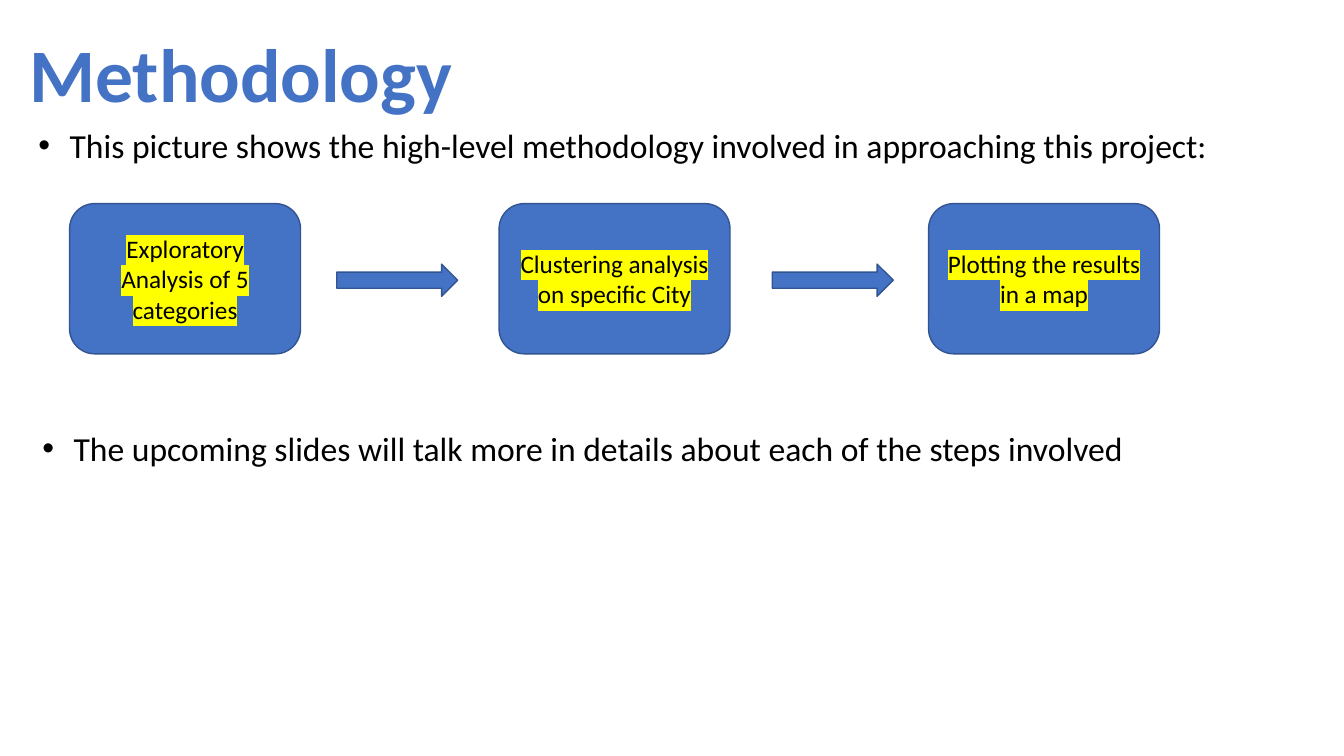
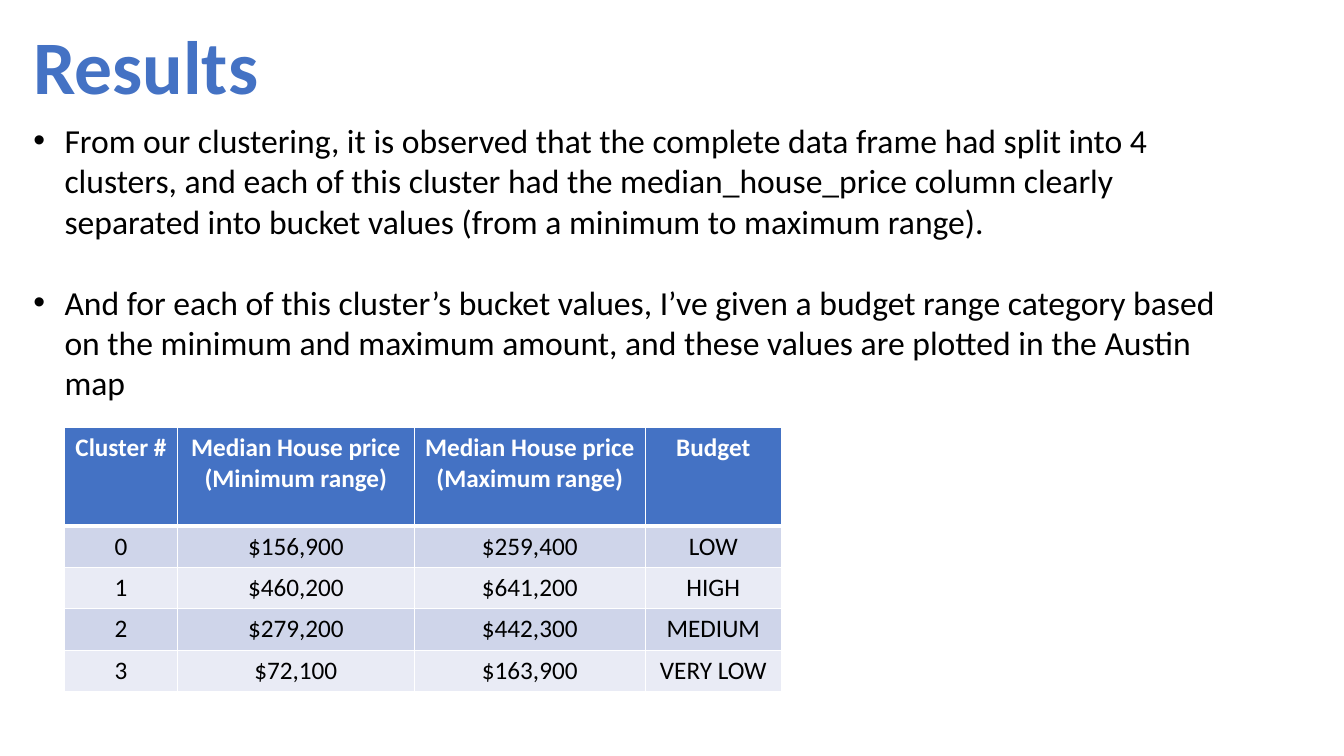
"""Build the Methodology and Results slides."""
from dataclasses import dataclass

from lxml import etree
from pptx import Presentation
from pptx import util as u
from pptx.dml.color import RGBColor
from pptx.enum import shapes, text
from pptx.oxml.ns import qn


@dataclass(frozen=True)
class Theme:
    font: str = "Calibri"
    accent: str = "4472C4"
    outline: str = "325491"
    ink: str = "000000"
    paper: str = "FFFFFF"
    marker: str = "FFFF00"
    bands: tuple = ("CFD5EA", "E9EBF5")
    title_size: int = 54
    body_size: int = 24
    label_size: int = 18
    paragraph_gap: int = 29
    bullet_indent: float = 0.31


THEME = Theme()
LAYOUT_BY_BODIES = {1: 1, 2: 3}

METHODOLOGY = {
    "title": ("Methodology", (0.19, 0.21, 4.44, 1.01)),
    "bodies": [
        (["This picture shows the high-level methodology involved in approaching this project:"],
         (0.28, 1.19, 12.33, 0.5)),
        (["The upcoming slides will talk more in details about each of the steps involved"],
         (0.32, 4.19, 12.33, 0.5)),
    ],
}
STEPS = ["Exploratory Analysis of 5 categories",
         "Clustering analysis on specific City",
         "Plotting the results in a map"]
STEP_BOX, STEP_PITCH = (0.69, 2.02, 2.29, 1.49), 4.26
ARROW_BOX, ARROW_PITCH = (3.34, 2.62, 1.2, 0.32), 4.32

RESULTS = {
    "title": ("Results", (0.23, 0.13, 2.46, 1.01)),
    "bodies": [
        (["From our clustering, it is observed that the complete data frame had split into 4 "
          "clusters, and each of this cluster had the median_house_price column clearly "
          "separated into bucket values (from a minimum to maximum range).",
          "And for each of this cluster’s bucket values, I’ve given a budget range category "
          "based on the minimum and maximum amount, and these values are plotted in the "
          "Austin map"],
         (0.23, 1.14, 12.33, 2.95)),
    ],
}
CLUSTERS = [
    (["Cluster #"], ["Median House price", "(Minimum range)"],
     ["Median House price", "(Maximum range)"], ["Budget"]),
    (["0"], ["$156,900"], ["$259,400"], ["LOW"]),
    (["1"], ["$460,200"], ["$641,200"], ["HIGH"]),
    (["2"], ["$279,200"], ["$442,300"], ["MEDIUM"]),
    (["3"], ["$72,100"], ["$163,900"], ["VERY LOW"]),
]
TABLE_AT = (0.64, 4.24)
COLUMN_WIDTHS = [1.12, 2.35, 2.29, 1.35]
HEADER_HEIGHT, ROW_HEIGHT = 0.98, 0.41


def inches(values):
    return [u.Inches(value) for value in values]


def rgb(value):
    return RGBColor.from_string(value)


def add_run(paragraph, words, size, color, bold=False):
    run = paragraph.add_run()
    run.text = words
    run.font.size = u.Pt(size)
    run.font.bold = bold
    run.font.name = THEME.font
    run.font.color.rgb = rgb(color)
    return run


def fill_frame(frame, lines, size, color, bold=False, align=text.PP_ALIGN.CENTER):
    for index, line in enumerate(lines):
        paragraph = frame.add_paragraph() if index else frame.paragraphs[0]
        paragraph.alignment = align
        add_run(paragraph, line, size, color, bold)


def place(part, box):
    part.left, part.top, part.width, part.height = inches(box)


def add_slide(deck, content):
    bodies = content["bodies"]
    slide = deck.slides.add_slide(deck.slide_layouts[LAYOUT_BY_BODIES[len(bodies)]])
    heading, *holders = slide.placeholders
    words, box = content["title"]
    place(heading, box)
    heading.text_frame.word_wrap = False
    heading.text_frame.auto_size = text.MSO_AUTO_SIZE.NONE
    fill_frame(heading.text_frame, [words], THEME.title_size, THEME.accent, True,
               text.PP_ALIGN.LEFT)
    for holder, (bullets, box) in zip(holders, bodies):
        place(holder, box)
        frame = holder.text_frame
        frame.auto_size = text.MSO_AUTO_SIZE.NONE
        fill_frame(frame, bullets, THEME.body_size, THEME.ink, align=text.PP_ALIGN.LEFT)
        indent = u.Inches(THEME.bullet_indent)
        for index, paragraph in enumerate(frame.paragraphs):
            paragraph.space_before = u.Pt(THEME.paragraph_gap if index else 0)
            properties = paragraph._p.get_or_add_pPr()
            properties.set("marL", str(indent))
            properties.set("indent", str(-indent))
    return slide


def add_block(slide, preset, box, offset):
    left, top, width, height = box
    block = slide.shapes.add_shape(preset, *inches((left + offset, top, width, height)))
    block.shadow.inherit = False
    block.fill.solid()
    block.fill.fore_color.rgb = rgb(THEME.accent)
    block.line.color.rgb = rgb(THEME.outline)
    block.line.width = u.Pt(1)
    return block


def highlight(run):
    mark = etree.Element(qn("a:highlight"))
    etree.SubElement(mark, qn("a:srgbClr")).set("val", THEME.marker)
    run._r.get_or_add_rPr().find(qn("a:solidFill")).addnext(mark)


def add_flow(slide):
    for index, label in enumerate(STEPS):
        step = add_block(slide, shapes.MSO_SHAPE.ROUNDED_RECTANGLE, STEP_BOX,
                         index * STEP_PITCH)
        fill_frame(step.text_frame, [label], THEME.label_size, THEME.ink)
        highlight(step.text_frame.paragraphs[0].runs[0])
    for index in range(len(STEPS) - 1):
        add_block(slide, shapes.MSO_SHAPE.RIGHT_ARROW, ARROW_BOX, index * ARROW_PITCH)


def set_borders(cell, top, bottom):
    properties = cell._tc.get_or_add_tcPr()
    for side, points in (("L", 1), ("R", 1), ("T", top), ("B", bottom)):
        line = etree.SubElement(properties, qn(f"a:ln{side}"), w=str(u.Pt(points)))
        fill = etree.SubElement(line, qn("a:solidFill"))
        etree.SubElement(fill, qn("a:srgbClr")).set("val", THEME.paper)


def add_clusters(slide):
    heights = [HEADER_HEIGHT] + [ROW_HEIGHT] * (len(CLUSTERS) - 1)
    size = (sum(COLUMN_WIDTHS), sum(heights))
    table = slide.shapes.add_table(len(CLUSTERS), len(COLUMN_WIDTHS),
                                   *inches(TABLE_AT + size)).table
    table.horz_banding = False
    for column, width in zip(table.columns, inches(COLUMN_WIDTHS)):
        column.width = width
    for index, (row, height) in enumerate(zip(table.rows, inches(heights))):
        row.height = height
        header = index == 0
        background = THEME.accent if header else THEME.bands[(index - 1) % 2]
        for cell, lines in zip(row.cells, CLUSTERS[index]):
            set_borders(cell, 3 if index == 1 else 1, 3 if header else 1)
            cell.fill.solid()
            cell.fill.fore_color.rgb = rgb(background)
            fill_frame(cell.text_frame, lines, THEME.label_size,
                       THEME.paper if header else THEME.ink, header)


def main():
    deck = Presentation()
    deck.slide_width, deck.slide_height = inches((13.33, 7.5))
    add_flow(add_slide(deck, METHODOLOGY))
    add_clusters(add_slide(deck, RESULTS))
    deck.save("out.pptx")


if __name__ == "__main__":
    main()
